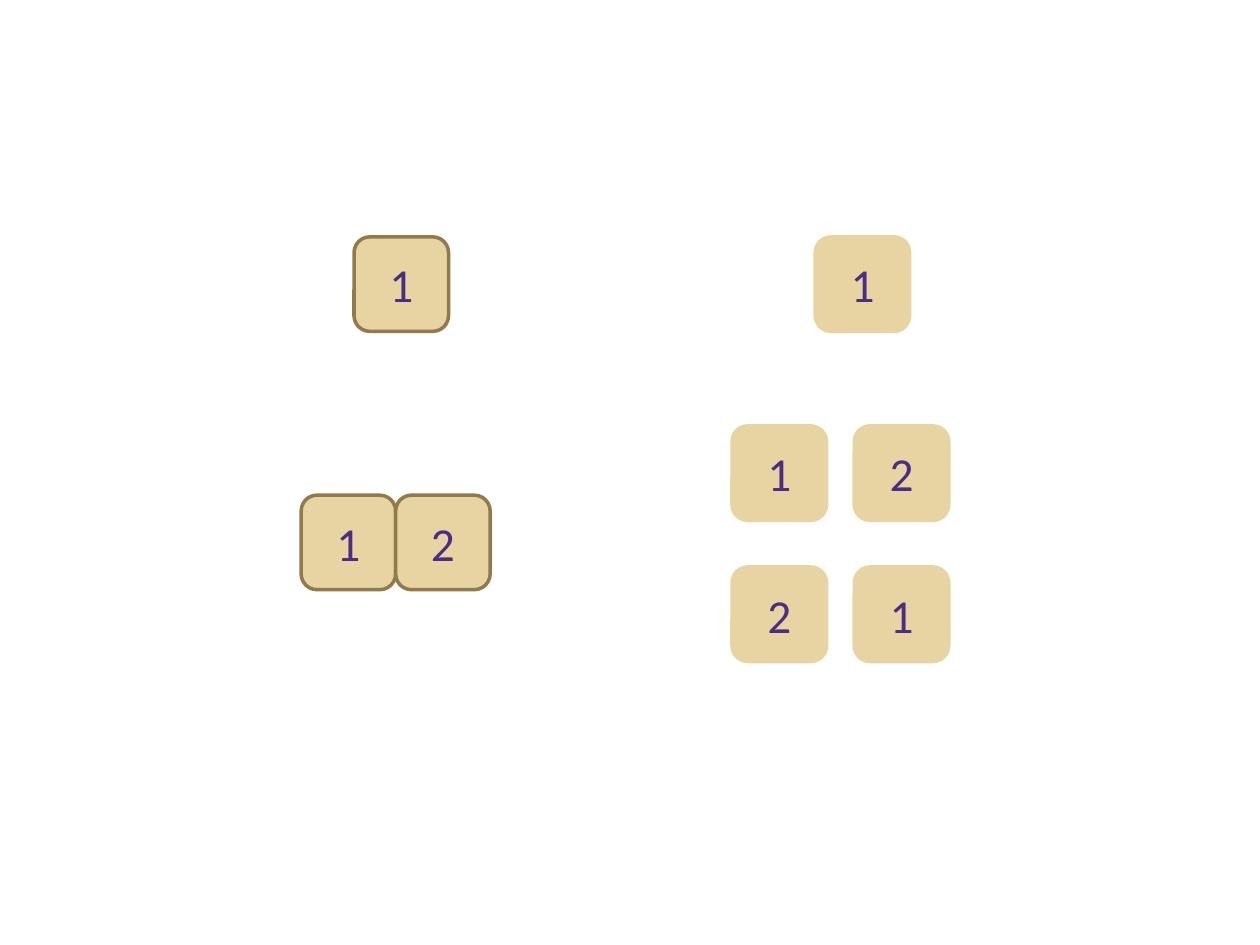
from pptx import Presentation
from pptx.dml.color import RGBColor
from pptx.enum.shapes import MSO_SHAPE
from pptx.enum.text import MSO_ANCHOR, PP_ALIGN
from pptx.util import Pt

ROUND = MSO_SHAPE.ROUNDED_RECTANGLE
MIDDLE = MSO_ANCHOR.MIDDLE
CENTER = PP_ALIGN.CENTER
PX = 9144
SIDE = 75
SAND, BROWN, PURPLE = "E8D3A2", "917B4C", "4B2E83"


def color(code):
    return RGBColor.from_string(code)


class Board:
    """Holds the tile style and the current slide."""

    font = {"name": "Calibri", "size": Pt(27)}
    frame = {"vertical_anchor": MIDDLE, "word_wrap": True}

    def __init__(self, deck):
        self.slide = deck.slides.add_slide(deck.slide_layouts[6])

    def tile(self, label, x, y, edge, home=None):
        shapes = (home or self.slide).shapes
        box = shapes.add_shape(ROUND, x * PX, y * PX, SIDE * PX, SIDE * PX)
        box.shadow.inherit = False
        box.fill.solid()
        box.fill.fore_color.rgb = color(SAND)
        box.line.color.rgb = color(edge)
        box.line.width = Pt(2)
        text = box.text_frame
        for key, value in self.frame.items():
            setattr(text, key, value)
        para = text.paragraphs[0]
        para.alignment = CENTER
        run = para.add_run()
        run.text = label
        for key, value in self.font.items():
            setattr(run.font, key, value)
        run.font.color.rgb = color(PURPLE)

    def row(self, labels, x, y, edge):
        group = self.slide.shapes.add_group_shape()
        for i, label in enumerate(labels):
            self.tile(label, x + i * SIDE, y, edge, group)

    def grid(self, columns, x, y, step_x, step_y, edge):
        for i, labels in enumerate(columns):
            for j, label in enumerate(labels):
                self.tile(label, x + i * step_x, y + j * step_y, edge)


def main():
    deck = Presentation()
    deck.slide_width, deck.slide_height = 1000 * PX, 750 * PX
    board = Board(deck)
    board.tile("1", 281, 188, BROWN)
    board.row("12", 239, 393, BROWN)
    board.tile("1", 647, 188, SAND)
    board.grid(("12", "21"), 581, 338, 97, 112, SAND)
    deck.save("out.pptx")


if __name__ == "__main__":
    main()
